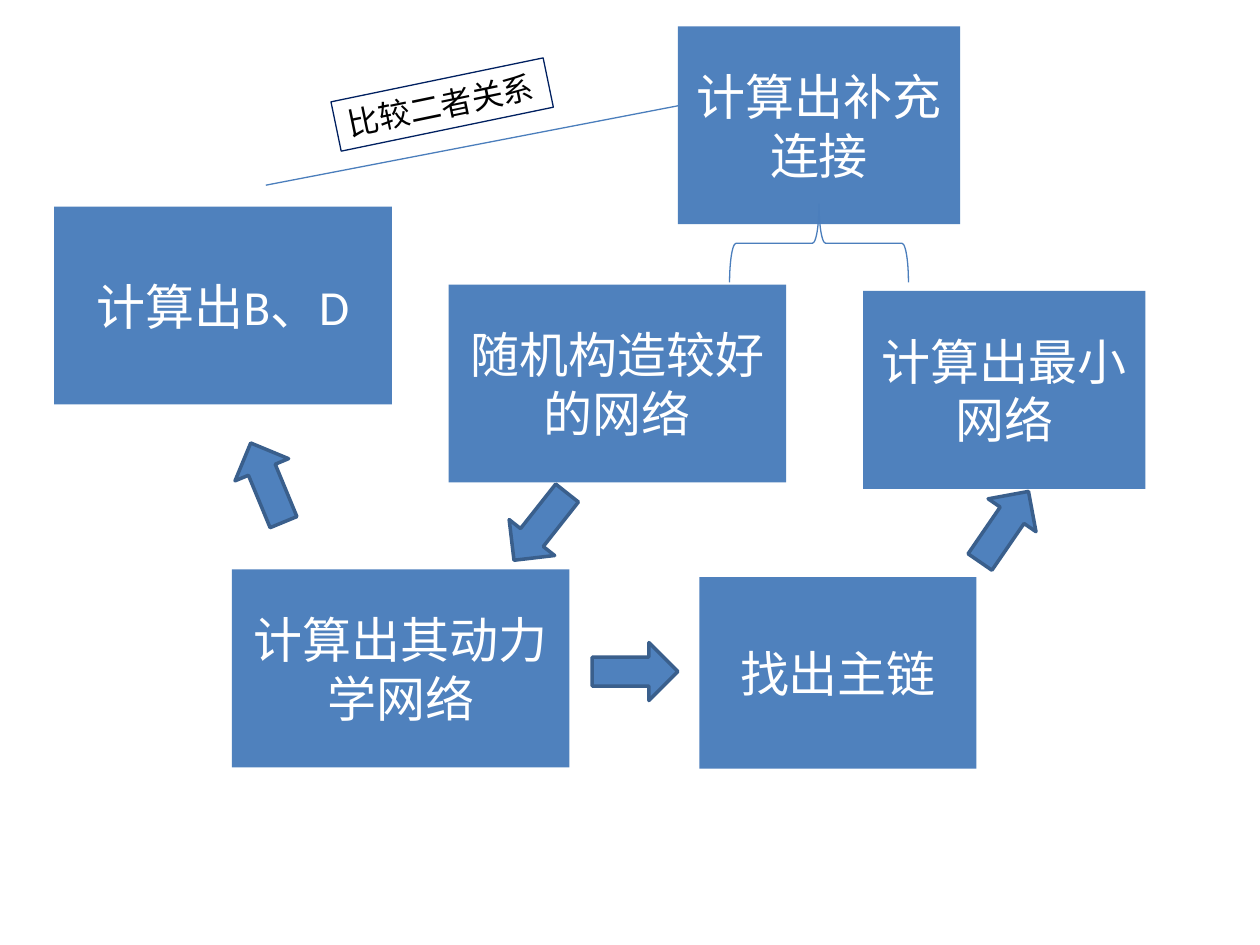
import pptx
import pptx.dml.color
import pptx.enum.shapes
import pptx.enum.text
import pptx.oxml.ns
import pptx.util
from lxml import etree

RGBColor = pptx.dml.color.RGBColor
Shape = pptx.enum.shapes.MSO_SHAPE
Align = pptx.enum.text.PP_ALIGN
Anchor = pptx.enum.text.MSO_ANCHOR
AutoSize = pptx.enum.text.MSO_AUTO_SIZE

BLUE = RGBColor(0x4F, 0x81, 0xBD)
EDGE = RGBColor(0x3A, 0x5F, 0x8C)
THIN = RGBColor(0x4B, 0x7E, 0xBC)
NAVY = RGBColor(0x00, 0x20, 0x60)
WHITE = RGBColor(0xFF, 0xFF, 0xFF)
BLACK = RGBColor(0x00, 0x00, 0x00)

# The slide is a grid of 100 columns by 75 rows of square cells.
CELL = pptx.util.Inches(0.1)
COLUMNS, ROWS = 100, 75

WIDE, MEDIUM, NARROW = (26.8, 15.7), (22.4, 15.7), (22, 15.2)
ARROW = (4.6, 6.8)

STEPS = [
    ("随机构造较好的网络", (35.6, 22.6), WIDE),
    ("计算出其动力学网络", (18.4, 45.2), WIDE),
    ("找出主链", (55.5, 45.8), NARROW),
    ("计算出最小网络", (68.5, 23.1), MEDIUM),
    ("计算出B、D", (4.3, 16.4), WIDE),
    ("计算出补充连接", (53.8, 2.1), MEDIUM),
]
ARROWS = [
    ((40.6, 38.4), 38.3),
    ((48.1, 49.9), 270),
    ((77.4, 38.4), 214.5),
    ((18.9, 34.9), 157.5),
]


def cells(*counts):
    return [round(count * CELL) for count in counts]


def apply_format(target, values):
    for name, value in values.items():
        setattr(target, name, value)


def set_line(item, color, points):
    item.line.color.rgb = color
    item.line.width = pptx.util.Pt(points)


def add_box(page, kind, place, size, fill=None, line=None, rotation=0):
    """Add a preset shape; line is a (colour, points) pair."""
    box = page.shapes.add_shape(kind, *cells(*place, *size))
    box.shadow.inherit = False
    box.rotation = rotation
    if fill is None:
        box.fill.background()
    else:
        box.fill.solid()
        box.fill.fore_color.rgb = fill
    if line is None:
        box.line.fill.background()
    else:
        set_line(box, *line)
    return box


def write(box, text, size, color, align, frame_format):
    apply_format(box.text_frame, frame_format)
    para = box.text_frame.paragraphs[0]
    para.alignment = align
    span = para.add_run()
    span.text = text
    apply_format(span.font, {"size": pptx.util.Pt(size), "name": "Calibri"})
    span.font.color.rgb = color


def add_step(page, text, place, size):
    box = add_box(page, Shape.RECTANGLE, place, size, fill=BLUE)
    write(box, text, 28, WHITE, Align.CENTER,
          {"word_wrap": True, "vertical_anchor": Anchor.MIDDLE})


def add_label(page, text, place, size, rotation):
    box = add_box(page, Shape.RECTANGLE, place, size,
                  line=(NAVY, 0.75), rotation=rotation)
    write(box, text, 18, BLACK, Align.LEFT,
          {"word_wrap": False, "vertical_anchor": Anchor.TOP,
           "auto_size": AutoSize.SHAPE_TO_FIT_TEXT})


def add_link(page, start, end):
    link = page.shapes.add_connector(
        pptx.enum.shapes.MSO_CONNECTOR.STRAIGHT, *cells(*start, *end))
    set_line(link, THIN, 0.75)
    etree.SubElement(link._element.spPr, pptx.oxml.ns.qn("a:effectLst"))


def main():
    deck = pptx.Presentation()
    apply_format(deck, {"slide_width": COLUMNS * CELL,
                        "slide_height": ROWS * CELL})
    page = deck.slides.add_slide(deck.slide_layouts[6])
    for step in STEPS:
        add_step(page, *step)
    for place, rotation in ARROWS:
        add_box(page, Shape.DOWN_ARROW, place, ARROW,
                fill=BLUE, line=(EDGE, 2), rotation=rotation)
    add_box(page, Shape.RIGHT_BRACE, (61.9, 12.2), (6.2, 14.2),
            line=(THIN, 0.75), rotation=270)
    add_link(page, (21.1, 14.7), (53.8, 8.4))
    add_label(page, "比较二者关系", (26.5, 6.3), (17.2, 4), 348.3)
    deck.save("out.pptx")


if __name__ == "__main__":
    main()
